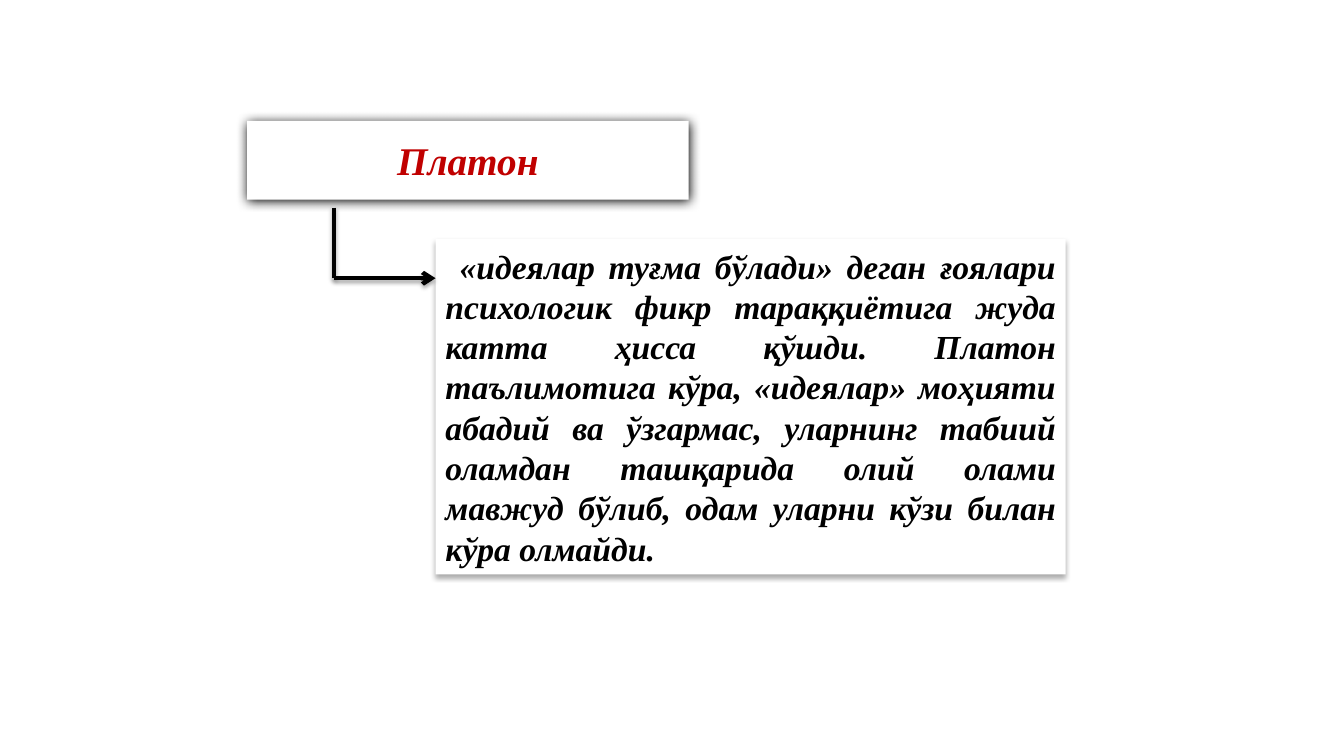
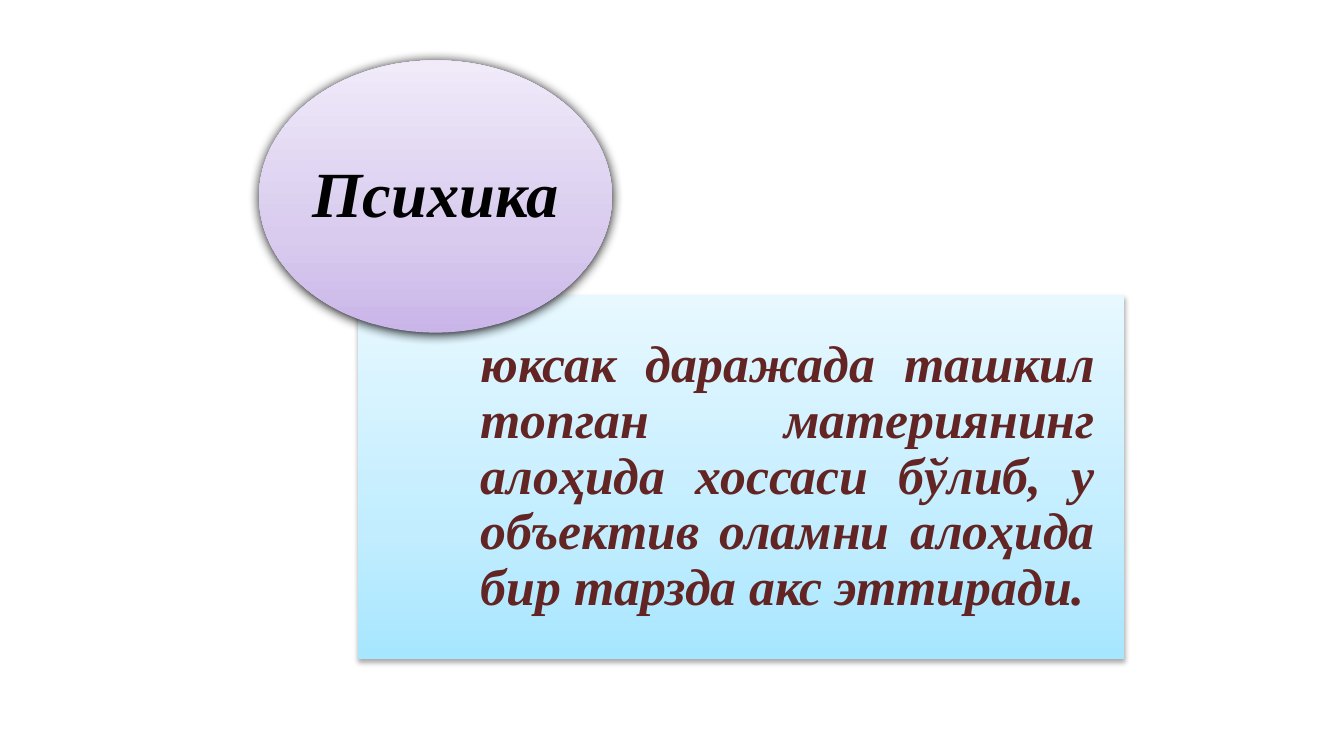
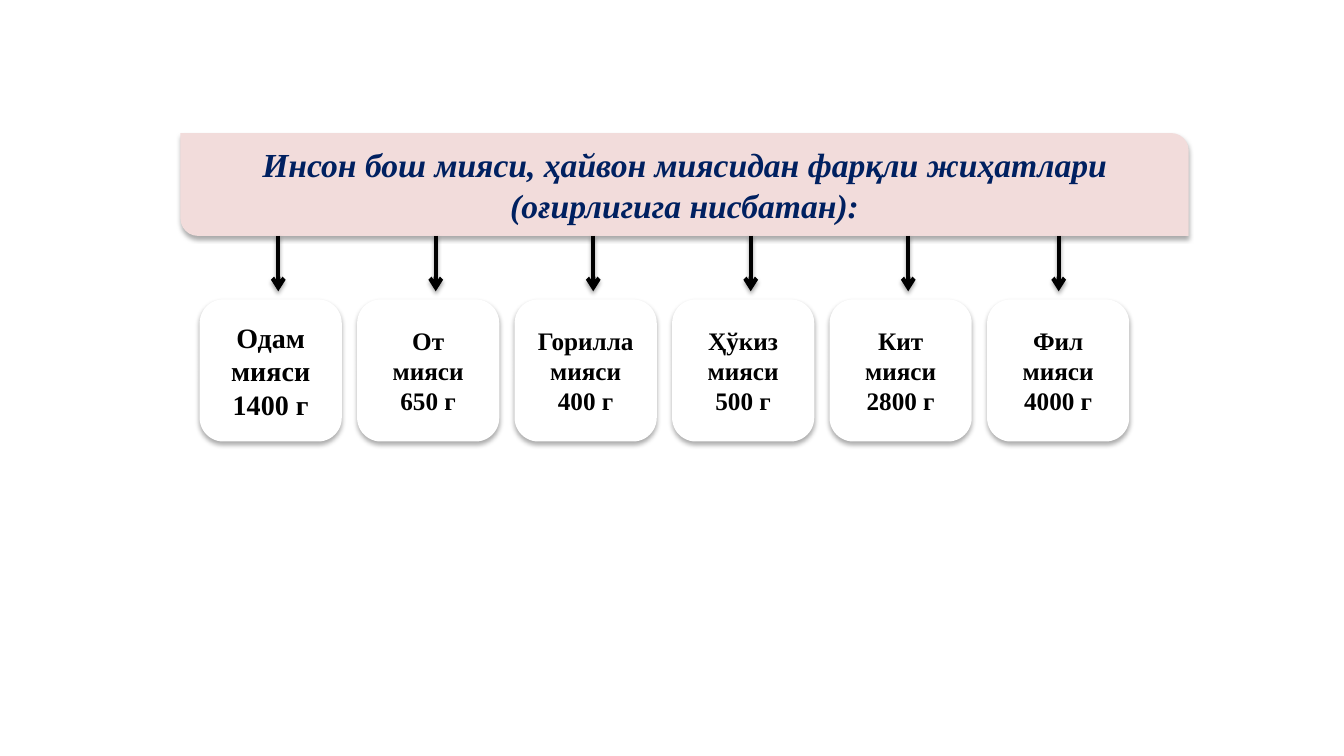
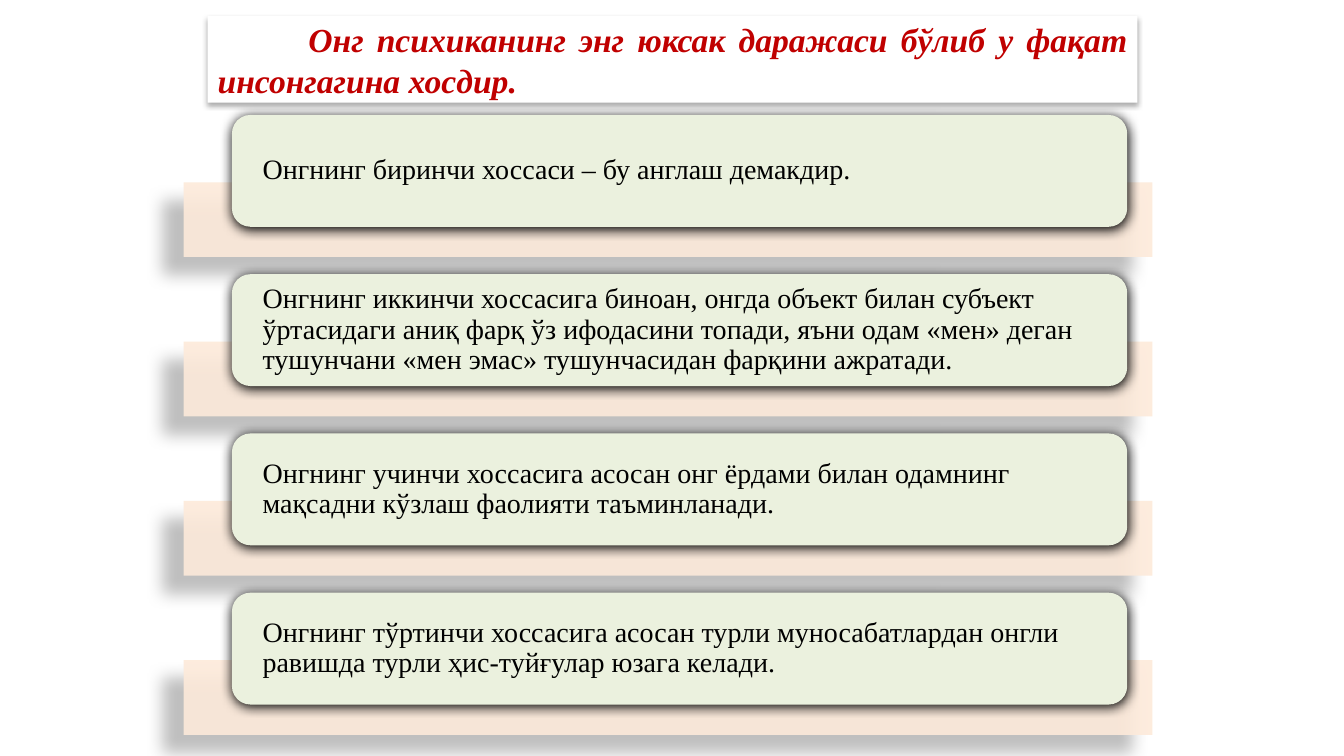
"""Build four slides on psyche, brain and consciousness."""
from copy import deepcopy
from dataclasses import dataclass

from lxml import etree
from pptx import Presentation
from pptx.dml.color import RGBColor
from pptx.enum.shapes import MSO_CONNECTOR, MSO_SHAPE
from pptx.enum.text import MSO_ANCHOR, PP_ALIGN
from pptx.oxml.ns import qn
from pptx.util import Inches, Pt

RECT = MSO_SHAPE.RECTANGLE
ROUNDED = MSO_SHAPE.ROUNDED_RECTANGLE
DIAGONAL = MSO_SHAPE.ROUND_2_DIAG_RECTANGLE
OVAL = MSO_SHAPE.OVAL
STRAIGHT = MSO_CONNECTOR.STRAIGHT
MIDDLE = MSO_ANCHOR.MIDDLE
LEFT, CENTER, JUSTIFY = PP_ALIGN.LEFT, PP_ALIGN.CENTER, PP_ALIGN.JUSTIFY

WHITE = RGBColor(0xFF, 0xFF, 0xFF)
BLACK = RGBColor(0, 0, 0)
RED = RGBColor(0xC0, 0, 0)
MAROON = RGBColor(0x63, 0x25, 0x23)
NAVY = RGBColor(0, 0x20, 0x60)
PINK = RGBColor(0xF2, 0xDC, 0xDB)
PEACH = RGBColor(0xFD, 0xEA, 0xDA)
SAGE = RGBColor(0xEB, 0xF1, 0xDE)
BLUES = (RGBColor(0xA7, 0xE6, 0xFF), RGBColor(0xC1, 0xED, 0xFF), RGBColor(0xE7, 0xF8, 0xFF))
VIOLETS = (RGBColor(0xC9, 0xB5, 0xE8), RGBColor(0xD8, 0xCB, 0xEE), RGBColor(0xF0, 0xEA, 0xF9))
GRADIENT_POSITIONS = (0, 35, 100)
FONT = "Times New Roman"


@dataclass(frozen=True)
class Shadow:
    """Outer shadow: opacity in percent, lengths in points, angle in degrees."""
    opacity: int
    blur: float
    distance: float
    angle: int = 90


SOFT = Shadow(32, 3.5, 2.2)
STRONG = Shadow(100, 8.5, 1)
LINE_SHADOW = Shadow(35, 3.1, 1.8)
CAST = Shadow(28, 11.8, 19.7, 141)


@dataclass(frozen=True)
class Label:
    """Wording of a panel and how it is set."""
    text: str
    size: float
    color: RGBColor = BLACK
    align: PP_ALIGN = CENTER
    bold: bool = True
    italic: bool = True
    insets: tuple[float, float, float, float] = (0.1, 0.05, 0.1, 0.05)
    spacing: float = 1.0
    indent: float = 0


@dataclass(frozen=True)
class Brain:
    """Brain weight of one creature, with the place of its arrow over the card."""
    text: str
    size: float = 18
    arrow_offset: float = 0.78


BRAINS = (
    Brain("Одам мияси 1400 г", size=20),
    Brain("От мияси 650 г"),
    Brain("Горилла мияси 400 г"),
    Brain("Ҳўкиз мияси 500 г"),
    Brain("Кит мияси 2800 г"),
    Brain("Фил мияси 4000 г", arrow_offset=0.71),
)
PROPERTIES = (
    "Онгнинг биринчи хоссаси – бу англаш демакдир.",
    "Онгнинг иккинчи хоссасига биноан, онгда объект билан субъект ўртасидаги аниқ фарқ "
    "ўз ифодасини топади, яъни одам «мен» деган тушунчани «мен эмас» тушунчасидан "
    "фарқини ажратади.",
    "Онгнинг учинчи хоссасига асосан онг ёрдами билан одамнинг мақсадни кўзлаш фаолияти "
    "таъминланади.",
    "Онгнинг тўртинчи хоссасига асосан турли муносабатлардан онгли равишда турли "
    "ҳис-туйғулар юзага келади.",
)


def add_shadow(properties, shadow: Shadow) -> None:
    """Give shape properties one outer shadow."""
    effects = properties.find(qn("a:effectLst"))
    if effects is None:
        effects = etree.SubElement(properties, qn("a:effectLst"))
    outer = etree.SubElement(
        effects, qn("a:outerShdw"), blurRad=str(Pt(shadow.blur)),
        dist=str(Pt(shadow.distance)), dir=str(shadow.angle * 60000), rotWithShape="0")
    color = etree.SubElement(outer, qn("a:srgbClr"), val=str(BLACK))
    etree.SubElement(color, qn("a:alpha"), val=str(shadow.opacity * 1000))


def paint(shape, fill: RGBColor | tuple[RGBColor, ...], opacity: int) -> None:
    """Fill a shape with one colour or an upward gradient."""
    if isinstance(fill, RGBColor):
        shape.fill.solid()
        shape.fill.fore_color.rgb = fill
        if opacity < 100:
            color = shape._element.spPr.find(".//" + qn("a:srgbClr"))
            etree.SubElement(color, qn("a:alpha"), val=str(opacity * 1000))
        return
    shape.fill.gradient()
    shape.fill.gradient_angle = 90
    stops = shape._element.spPr.find(".//" + qn("a:gsLst"))
    stops.append(deepcopy(stops[-1]))
    for stop, color, position in zip(shape.fill.gradient_stops, fill, GRADIENT_POSITIONS):
        stop.color.rgb = color
        stop.position = position / 100


def write(shape, label: Label) -> None:
    """Set the wording of a shape."""
    frame = shape.text_frame
    paragraph = frame.paragraphs[0]
    sides = ("margin_left", "margin_top", "margin_right", "margin_bottom")
    margins = {side: Inches(inset) for side, inset in zip(sides, label.insets)}
    run = paragraph.add_run()
    run.text = label.text
    run.font.color.rgb = label.color
    formats = (
        (frame, {"word_wrap": True, "vertical_anchor": MIDDLE, **margins}),
        (paragraph, {"alignment": label.align, "line_spacing": label.spacing}),
        (run.font, {"name": FONT, "size": Pt(label.size), "bold": label.bold,
                    "italic": label.italic}),
    )
    for target, values in formats:
        for name, value in values.items():
            setattr(target, name, value)
    if label.indent:
        paragraph._p.get_or_add_pPr().set("indent", str(Inches(label.indent)))


def add_panel(slide, kind: MSO_SHAPE, box: tuple[float, float, float, float],
              fill: RGBColor | tuple[RGBColor, ...], shadow: Shadow,
              label: Label | None = None, opacity: int = 100):
    """Draw a borderless shadowed shape, with wording if given."""
    panel = slide.shapes.add_shape(kind, *(Inches(length) for length in box))
    panel.shadow.inherit = False
    paint(panel, fill, opacity)
    panel.line.fill.background()
    add_shadow(panel._element.spPr, shadow)
    if label:
        write(panel, label)
    return panel


def add_line(slide, start: tuple[float, float], end: tuple[float, float],
             arrow: bool = True) -> None:
    """Draw a black shadowed line, with an arrowhead at its end if asked."""
    line = slide.shapes.add_connector(STRAIGHT, *(Inches(c) for c in start + end))
    line.line.width = Pt(3)
    line.line.color.rgb = BLACK
    if arrow:
        etree.SubElement(line.line._get_or_add_ln(), qn("a:tailEnd"), type="arrow")
    add_shadow(line._element.spPr, LINE_SHADOW)


def build_plato(slide) -> None:
    """Plato and his teaching."""
    add_panel(slide, RECT, (2.45, 1.2, 4.38, 0.78), WHITE, STRONG, Label("Платон", 28, RED))
    add_panel(slide, RECT, (4.32, 2.37, 6.25, 3.33), WHITE, SOFT, Label(
        "«идеялар туғма бўлади» деган ғоялари психологик фикр тараққиётига жуда катта "
        "ҳисса қўшди. Платон таълимотига кўра, «идеялар» моҳияти абадий ва ўзгармас, "
        "уларнинг табиий оламдан ташқарида олий олами мавжуд бўлиб, одам уларни кўзи "
        "билан кўра олмайди.", 24, align=JUSTIFY, indent=0.14))
    corner = (3.31, 2.76)
    add_line(slide, (3.31, 2.06), corner, arrow=False)
    add_line(slide, corner, (4.32, 2.76))


def build_psyche(slide) -> None:
    """Definition of the psyche."""
    add_panel(slide, RECT, (3.55, 2.93, 7.6, 3.61), BLUES, SOFT, Label(
        "юксак даражада ташкил топган материянинг алоҳида хоссаси бўлиб, у объектив "
        "оламни алоҳида бир тарзда акс эттиради.", 37, MAROON, JUSTIFY,
        insets=(1.22, 0.29, 0.29, 0.29), spacing=0.9))
    add_panel(slide, OVAL, (2.57, 0.6, 3.5, 2.7), VIOLETS, STRONG,
              Label("Психика", 46, insets=(0, 0, 0, 0), spacing=0.9))


def build_brains(slide) -> None:
    """Brain weights compared."""
    banner = add_panel(slide, DIAGONAL, (1.79, 1.32, 10, 1.02), PINK, SOFT, Label(
        "Инсон бош мияси, ҳайвон миясидан фарқли жиҳатлари (оғирлигига нисбатан):",
        24, NAVY))
    banner.adjustments[0] = 0
    banner.adjustments[1] = 0.17
    first, last, side = 1.98, 9.79, 1.41
    pitch = (last - first) / (len(BRAINS) - 1)
    for index, brain in enumerate(BRAINS):
        left = first + index * pitch
        arrow_x = left + brain.arrow_offset
        add_line(slide, (arrow_x, 2.34), (arrow_x, 2.89))
        add_panel(slide, ROUNDED, (left, 2.97, side, side), WHITE, SOFT,
                  Label(brain.text, brain.size, italic=False))


def build_consciousness(slide) -> None:
    """Four properties of consciousness."""
    add_panel(slide, RECT, (2.06, 0.16, 9.22, 0.86), WHITE, SOFT, Label(
        "Онг психиканинг энг юксак даражаси бўлиб у фақат инсонгагина хосдир.",
        24, RED, JUSTIFY, indent=0.9))
    pitch = 1.58
    for index, text in enumerate(PROPERTIES):
        top = 1.14 + index * pitch
        add_panel(slide, RECT, (1.82, top + 0.67, 9.61, 0.74), PEACH, CAST, opacity=90)
        add_panel(slide, ROUNDED, (2.3, top, 8.88, 1.11), SAGE, STRONG, Label(
            text, 20, align=LEFT, bold=False, italic=False,
            insets=(0.25, 0, 0.25, 0), spacing=0.9))


def main() -> None:
    """Build and save the slides."""
    deck = Presentation()
    deck.slide_width, deck.slide_height = Inches(13.33), Inches(7.5)
    blank = deck.slide_layouts[6]
    for build in (build_plato, build_psyche, build_brains, build_consciousness):
        build(deck.slides.add_slide(blank))
    deck.save("out.pptx")


if __name__ == "__main__":
    main()
